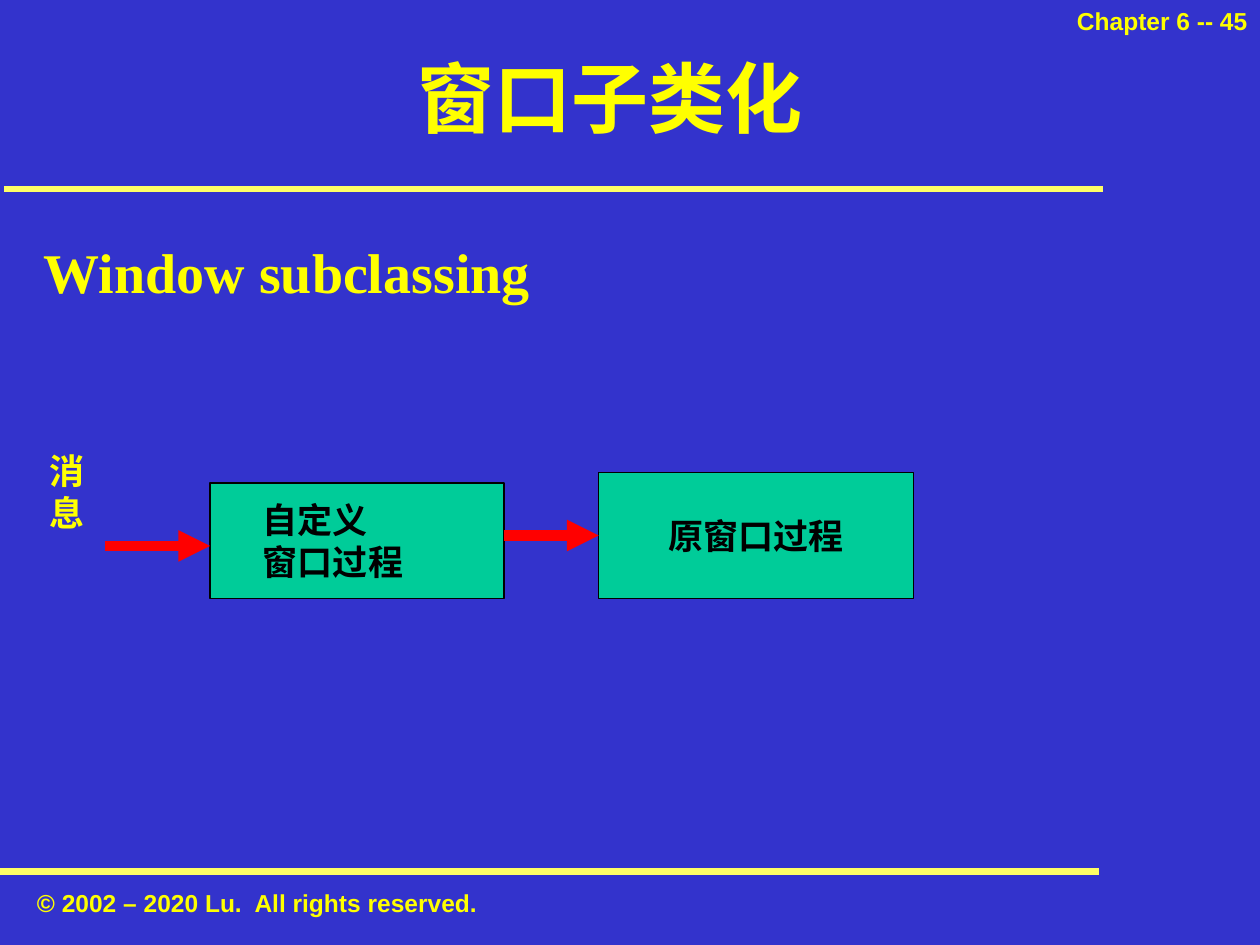
from lxml.etree import SubElement
from pptx import Presentation
from pptx.dml.color import RGBColor
from pptx.enum.shapes import MSO_CONNECTOR as Connector, MSO_SHAPE as Shape
from pptx.enum.text import MSO_ANCHOR as Anchor, PP_ALIGN as Align
from pptx.oxml.ns import qn
from pptx.util import Inches, Pt

COLORS = {
    "background": "3333CC",
    "rule": "FFFF66",
    "text": "FFFF00",
    "box": "00CC99",
    "ink": "000000",
    "arrow": "FF0000",
}
CELL = 1 / 12


def color(name):
    return RGBColor.from_string(COLORS[name])


def cells(*values):
    return [Inches(value * CELL) for value in values]


class SlideBuilder:
    body_font = "Times New Roman"
    furniture_font = "Arial"

    def __init__(self, presentation):
        self.slide = presentation.slides.add_slide(presentation.slide_layouts[6])
        fill = self.slide.background.fill
        fill.solid()
        fill.fore_color.rgb = color("background")

    def set_text(self, shape, text, size, font=None, ink="text",
                 align=Align.LEFT, anchor=Anchor.TOP, wrap=True):
        frame = shape.text_frame
        frame.text = text
        frame.word_wrap = wrap
        frame.vertical_anchor = anchor
        for paragraph in frame.paragraphs:
            paragraph.alignment = align
            for run in paragraph.runs:
                run.font.name = font or self.body_font
                run.font.size = Pt(size)
                run.font.bold = True
                run.font.color.rgb = color(ink)

    def text(self, place, text, size, **style):
        self.set_text(self.slide.shapes.add_textbox(*cells(*place)), text, size, **style)

    def box(self, place, text, align=Align.CENTER, indent=0):
        shape = self.slide.shapes.add_shape(Shape.RECTANGLE, *cells(*place))
        shape.shadow.inherit = False
        shape.fill.solid()
        shape.fill.fore_color.rgb = color("box")
        shape.line.color.rgb = color("ink")
        shape.line.width = Pt(0.75)
        self.set_text(shape, text, 20, ink="ink", align=align, anchor=Anchor.MIDDLE)
        shape.text_frame.margin_left = Inches(0.1 + indent)

    def line(self, left, right, row, width, ink):
        connector = self.slide.shapes.add_connector(
            Connector.STRAIGHT, *cells(left, row, right, row))
        connector.line.color.rgb = color(ink)
        connector.line.width = Pt(width)
        SubElement(connector._element.spPr, qn("a:effectLst"))
        return connector

    def rule(self, left, right, row):
        self.line(left, right, row, 4, "rule")

    def arrow(self, left, right, row):
        connector = self.line(left, right, row, 6, "arrow")
        outline = connector._element.spPr.find(qn("a:ln"))
        SubElement(outline, qn("a:tailEnd"), type="triangle")


def main():
    presentation = Presentation()
    presentation.slide_width, presentation.slide_height = cells(120, 90)
    builder = SlideBuilder(presentation)

    builder.rule(0.36, 105, 18)
    builder.rule(0, 104.64, 83)
    furniture = {"font": builder.furniture_font}
    builder.text((96.84, 0, 23.16, 5), "Chapter 6 -- 45", 14,
                 align=Align.RIGHT, **furniture)
    builder.text((2, 84, 45, 4), "© 2002 – 2020 Lu.  All rights reserved.", 14,
                 align=Align.CENTER, wrap=False, **furniture)

    builder.text((7, 1.5, 102.25, 15.5), "窗口子类化", 44,
                 align=Align.CENTER, anchor=Anchor.MIDDLE)
    builder.text((3, 22, 108, 58), "Window subclassing", 32)

    builder.box((20, 46, 28, 11), "自定义\n窗口过程", align=Align.LEFT, indent=0.32)
    builder.box((57, 45, 30, 12), "原窗口过程")
    builder.arrow(48, 57, 51)
    builder.arrow(10, 20, 52)
    builder.text((3.5, 42.25, 9, 5.25), "消息", 20, wrap=False)

    presentation.save("out.pptx")


if __name__ == "__main__":
    main()
